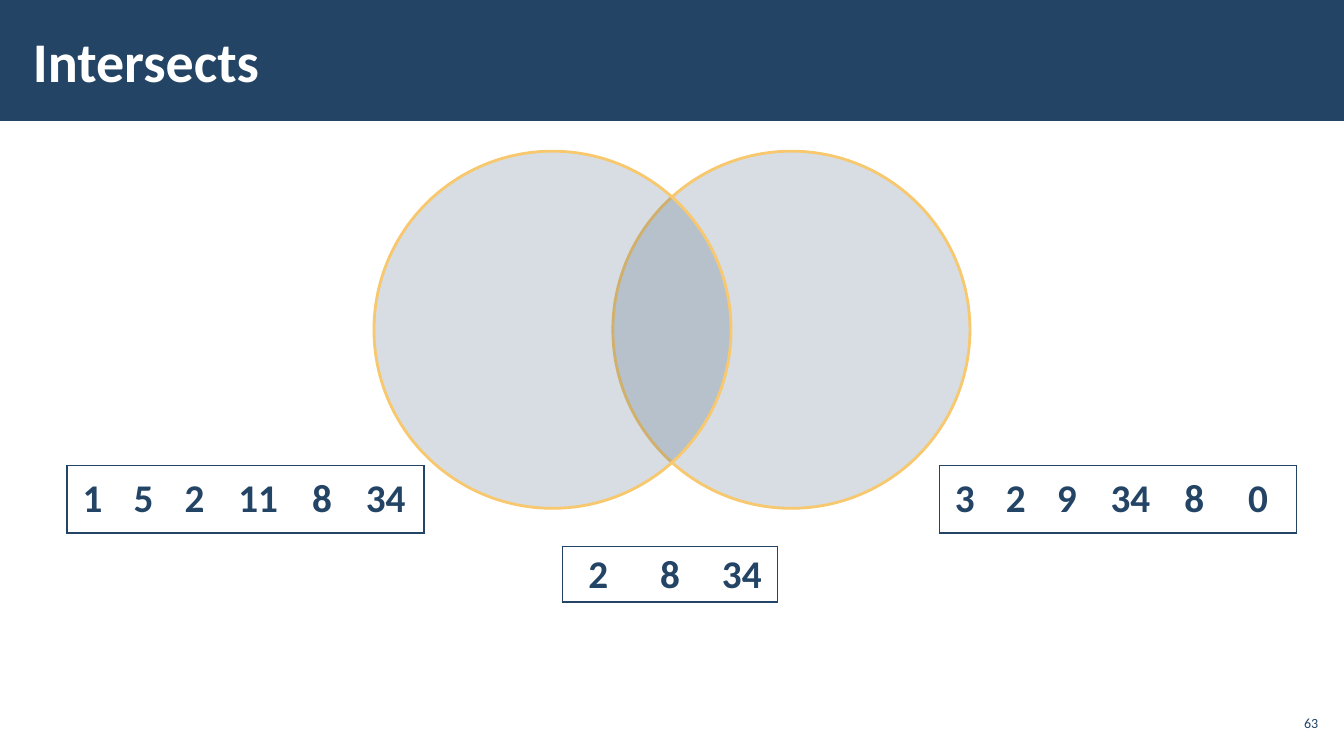
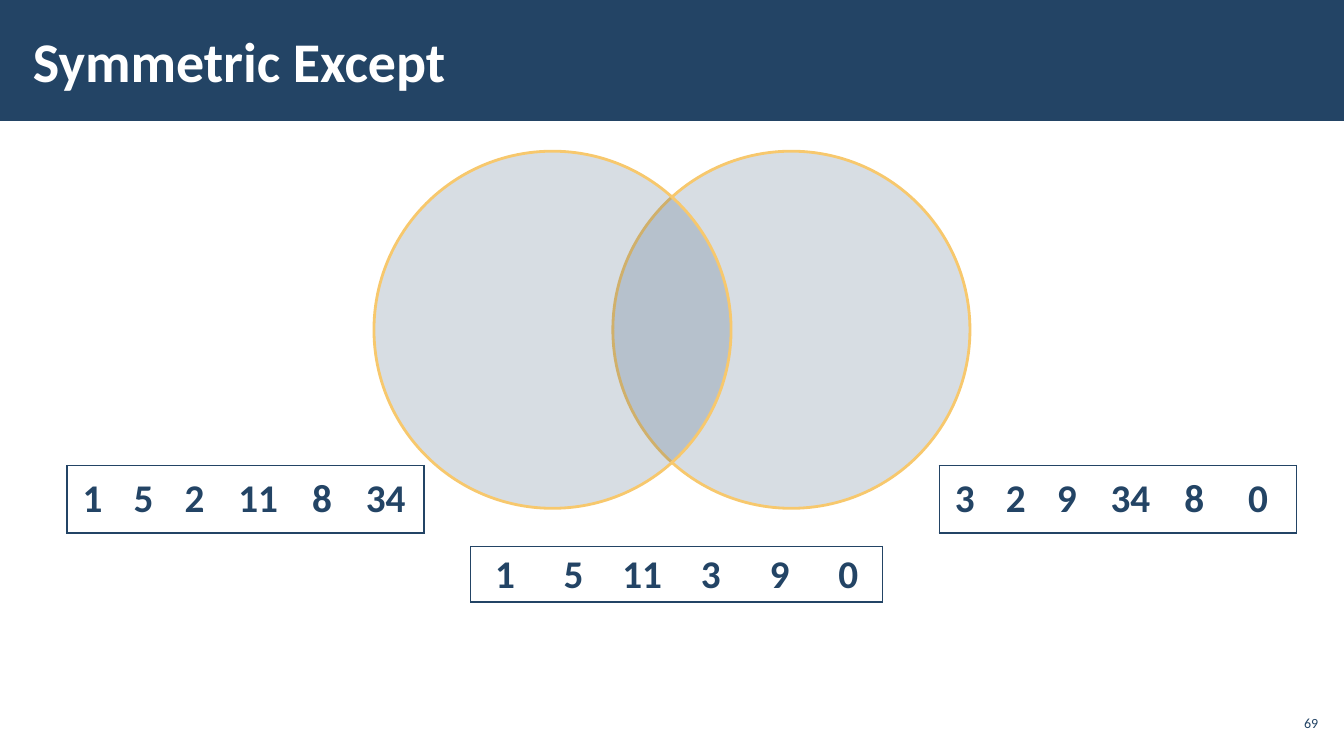
import dataclasses

import lxml.etree
import pptx
import pptx.dml.color
import pptx.enum.shapes
import pptx.enum.text
import pptx.oxml
import pptx.oxml.ns
import pptx.util

Cm, Pt = pptx.util.Cm, pptx.util.Pt
RGB = pptx.dml.color.RGBColor.from_string
SHAPE = pptx.enum.shapes.MSO_SHAPE
ALIGN = pptx.enum.text.PP_ALIGN
MIDDLE = pptx.enum.text.MSO_ANCHOR.MIDDLE
qn = pptx.oxml.ns.qn


@dataclasses.dataclass(frozen=True)
class Theme:
    navy: str = "234465"
    gold: str = "F7C86D"
    white: str = "FFFFFF"
    font: str = "Calibri"
    title_size: int = 40
    value_size: int = 28
    number_size: int = 10
    circle_opacity: int = 18


THEME = Theme()
SLIDE_W, SLIDE_H = 33.87, 19.05
TITLE_BOX = (0.53, 0.28, 26.42, 2.46)
CIRCLE, CIRCLE_TOP, OVERLAP = 9, 3.81, 2.98
SET_TOP, SET_HEIGHT = 11.73, 1.7
RESULT_TOP, RESULT_HEIGHT = 13.77, 1.4
UNIT = 9 / 7
SET_COLUMNS = [UNIT * n for n in (1, 1, 1, 1.5, 1, 1.5)]

# Each input set: left edge and values
INPUT_SETS = [
    (1.69, ["1", "5", "2", "11", "8", "34"]),
    (23.67, ["3", "2", "9", "34", "8", "0"]),
]
# Each slide: title, number, left edge and column width of the result, values
SLIDES = [
    ("Intersects", "63", 14.17, 1.81, ["2", "8", "34"]),
    ("Symmetric Except", "69", 11.86, 1.73, ["1", "5", "11", "3", "9", "0"]),
]


# Text
def set_attributes(target, values):
    for name, value in values.items():
        setattr(target, name, value)


def write(tf, text, size, color, align, bold=True, spacing=1.0):
    p = tf.paragraphs[0]
    set_attributes(p, {"alignment": align, "line_spacing": spacing})
    r = p.add_run()
    r.text = text
    set_attributes(r.font, {"name": THEME.font, "size": Pt(size), "bold": bold})
    r.font.color.rgb = RGB(color)


def set_margins(target, x, y):
    set_attributes(target, {
        "margin_left": Cm(x), "margin_right": Cm(x),
        "margin_top": Cm(y), "margin_bottom": Cm(y),
    })


# Shared layout: title place and the band behind it
def style_layout(layout, s):
    title = layout.placeholders[0]
    names = ("left", "top", "width", "height")
    set_attributes(title, dict(zip(names, map(Cm, TITLE_BOX))))
    band = add_filled_shape(s, SHAPE.RECTANGLE, 0, 0, SLIDE_W, 3.05)
    band.line.fill.background()
    layout.shapes.element.insert(2, band.element)


def add_title(s, text):
    tf = s.shapes.title.text_frame
    set_attributes(tf, {"vertical_anchor": MIDDLE, "word_wrap": True})
    set_margins(tf, 0.3, 0.1)
    write(tf, text, THEME.title_size, THEME.white, ALIGN.LEFT)


def add_number(s, text):
    tf = s.shapes.add_textbox(Cm(32.13), Cm(17.78), Cm(1.19), Cm(0.86)).text_frame
    set_attributes(tf, {"vertical_anchor": MIDDLE, "word_wrap": True})
    set_margins(tf, 0.1, 0.1)
    write(tf, text, THEME.number_size, THEME.navy, ALIGN.RIGHT, bold=False)


# Venn diagram
def add_filled_shape(s, kind, x, y, w, h):
    sp = s.shapes.add_shape(kind, Cm(x), Cm(y), Cm(w), Cm(h))
    sp.shadow.inherit = False
    sp.fill.solid()
    sp.fill.fore_color.rgb = RGB(THEME.navy)
    return sp


def add_venn(s):
    left = SLIDE_W / 2 + OVERLAP / 2 - CIRCLE
    for x in (left + CIRCLE - OVERLAP, left):
        sp = add_filled_shape(s, SHAPE.OVAL, x, CIRCLE_TOP, CIRCLE, CIRCLE)
        sp.line.color.rgb = RGB(THEME.gold)
        sp.line.width = Pt(2)
        color = sp.element.spPr.find(qn("a:solidFill"))[0]
        alpha = lxml.etree.SubElement(color, qn("a:alpha"))
        alpha.set("val", str(THEME.circle_opacity * 1000))


# One-row table with an outer frame only
def set_borders(cell, visible):
    tc_pr = cell._tc.get_or_add_tcPr()
    for i, side in enumerate("LRTB"):
        ln = lxml.etree.Element(qn(f"a:ln{side}"), w=str(Pt(1)))
        if side in visible:
            fill = lxml.etree.SubElement(ln, qn("a:solidFill"))
            lxml.etree.SubElement(fill, qn("a:srgbClr"), val=THEME.navy)
        else:
            lxml.etree.SubElement(ln, qn("a:noFill"))
        tc_pr.insert(i, ln)


def add_value_row(s, x, y, height, widths, values):
    frame = s.shapes.add_table(
        1, len(values), Cm(x), Cm(y), Cm(sum(widths)), Cm(height))
    table = frame.table
    set_attributes(table, {"first_row": False, "horz_banding": False})
    last = len(values) - 1
    for i, (width, value) in enumerate(zip(widths, values)):
        table.columns[i].width = Cm(width)
        cell = table.cell(0, i)
        cell.fill.background()
        cell.vertical_anchor = MIDDLE
        set_margins(cell, 0.33, 0.13)
        write(cell.text_frame, value, THEME.value_size, THEME.navy,
              ALIGN.CENTER, spacing=0.95)
        set_borders(cell, "TB" + "L" * (i == 0) + "R" * (i == last))


def main():
    prs = pptx.Presentation()
    set_attributes(prs, {"slide_width": Cm(SLIDE_W), "slide_height": Cm(SLIDE_H)})
    layout = prs.slide_layouts[5]
    for i, (title, number, x, width, result) in enumerate(SLIDES):
        s = prs.slides.add_slide(layout)
        if i == 0:
            style_layout(layout, s)
        add_title(s, title)
        add_number(s, number)
        add_venn(s)
        for left, values in INPUT_SETS:
            add_value_row(s, left, SET_TOP, SET_HEIGHT, SET_COLUMNS, values)
        add_value_row(s, x, RESULT_TOP, RESULT_HEIGHT, [width] * len(result), result)
    prs.save("out.pptx")


if __name__ == "__main__":
    main()
